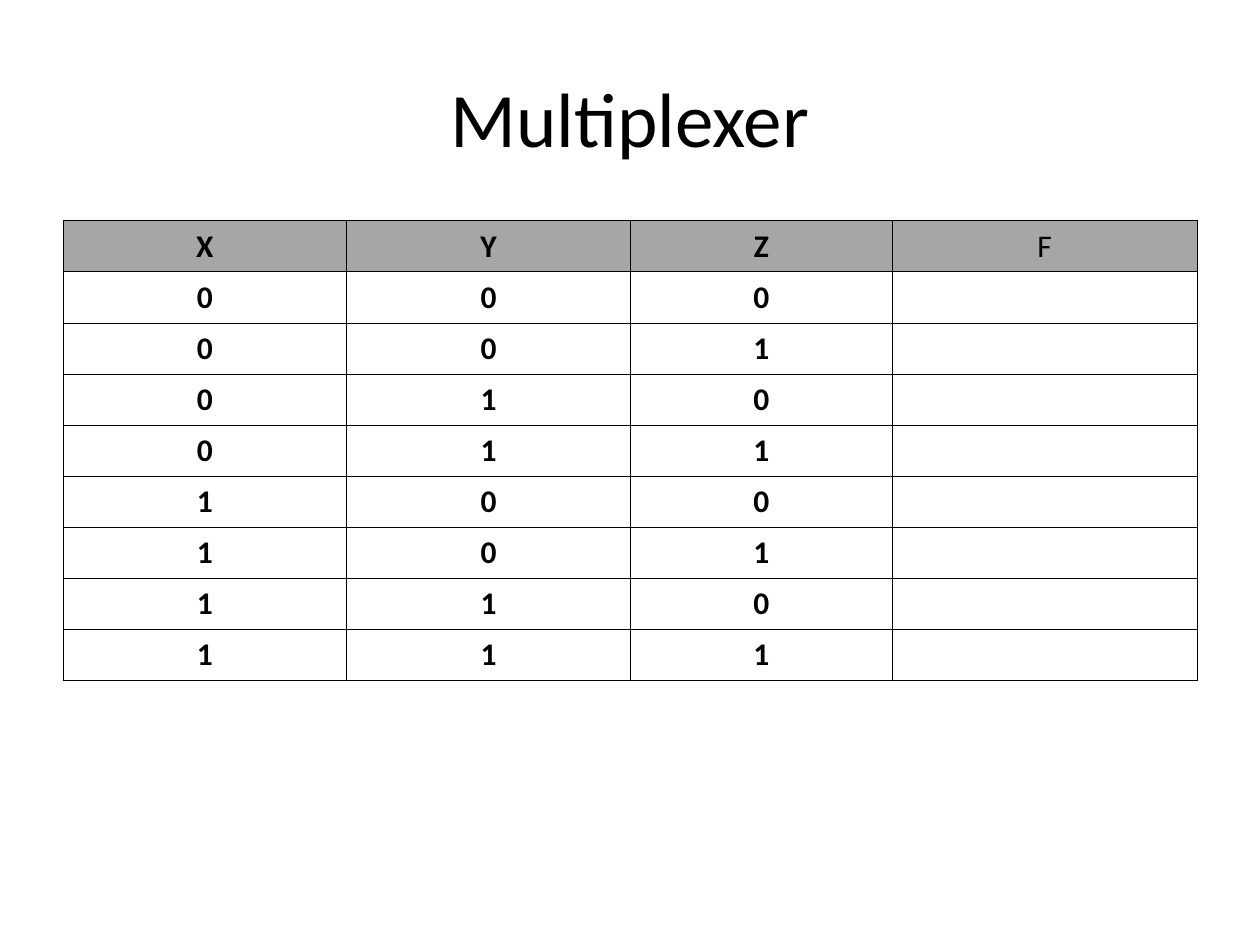
"""Build the Multiplexer slide with its truth table."""
from itertools import product

from lxml import etree
from pptx import Presentation
from pptx.dml.color import RGBColor
from pptx.enum.text import MSO_ANCHOR, PP_ALIGN
from pptx.oxml.ns import qn
from pptx.util import Cm, Pt

CENTER = PP_ALIGN.CENTER
MIDDLE = MSO_ANCHOR.MIDDLE
COLORS = {"ink": "000000", "head": "A6A6A6"}
FONT = "Calibri"


def write(frame, text, size, bold):
    para = frame.paragraphs[0]
    para.alignment = CENTER
    run = para.add_run()
    run.text = text
    run.font.name = FONT
    run.font.size = Pt(size)
    run.font.bold = bold
    run.font.color.rgb = RGBColor.from_string(COLORS["ink"])


def border(cell):
    props = cell._tc.get_or_add_tcPr()
    for side in ("lnL", "lnR", "lnT", "lnB"):
        line = etree.SubElement(props, qn(f"a:{side}"), w=str(Pt(0.45)))
        fill = etree.SubElement(line, qn("a:solidFill"))
        etree.SubElement(fill, qn("a:srgbClr"), val=COLORS["ink"])


prs = Presentation()
prs.slide_width, prs.slide_height = Cm(25.4), Cm(19.05)
slide = prs.slides.add_slide(prs.slide_layouts[5])

title = slide.shapes.title
title.left, title.top = Cm(1.27), Cm(0.76)
title.width, title.height = Cm(22.86), Cm(3.18)
title.text_frame.vertical_anchor = MIDDLE
write(title.text_frame, "Multiplexer", 44, False)

rows = ["XYZF"] + list(product("01", repeat=3))
widths = [5.72, 5.72, 5.28, 6.14]
high = Cm(1.03)
frame = slide.shapes.add_table(
    len(rows), len(widths), Cm(1.27), Cm(4.45), Cm(22.86), high * len(rows))
table = frame.table
table.first_row = False
table.horz_banding = False
for col, width in zip(table.columns, widths):
    col.width = Cm(width)

for r, row in enumerate(rows):
    table.rows[r].height = high
    for c in range(len(widths)):
        cell = table.cell(r, c)
        border(cell)
        if r == 0:
            cell.fill.solid()
            cell.fill.fore_color.rgb = RGBColor.from_string(COLORS["head"])
        else:
            cell.fill.background()
        if c < len(row):
            write(cell.text_frame, row[c], 18, c < 3)

prs.save("out.pptx")
